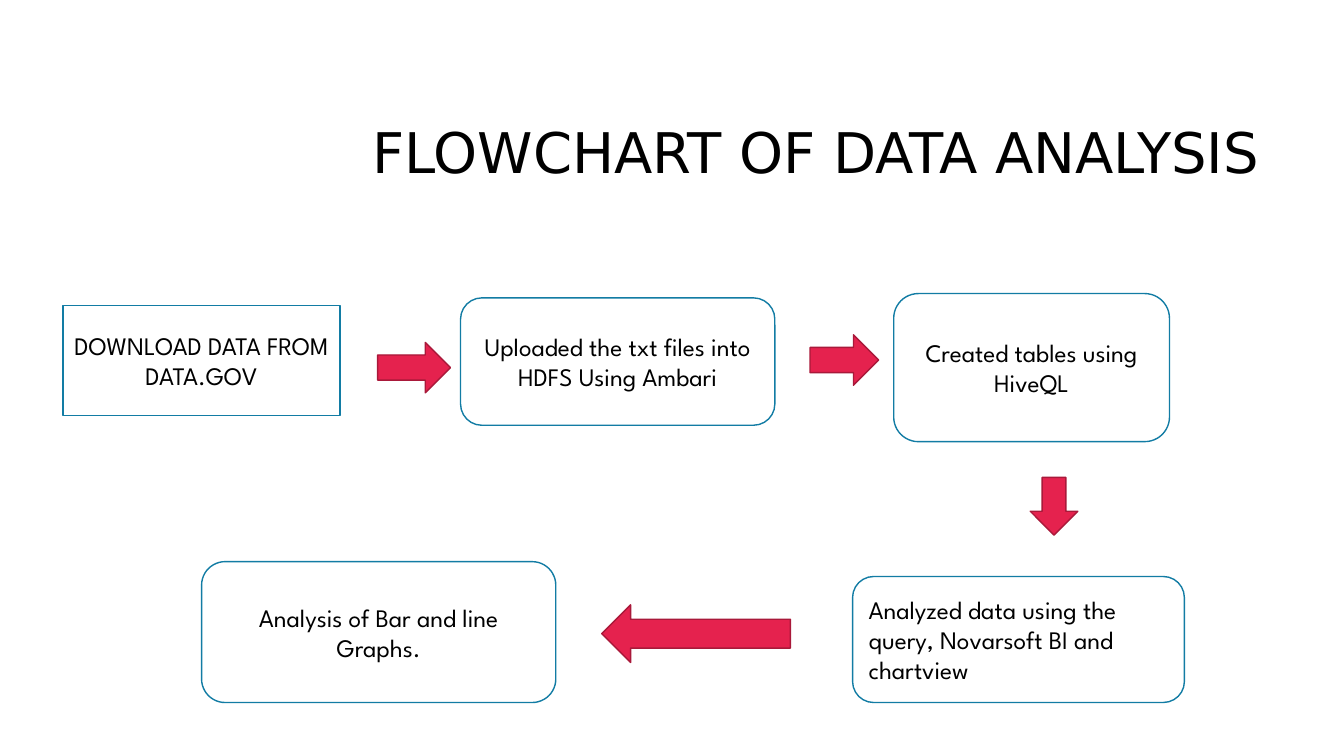
from dataclasses import dataclass

from pptx import Presentation
from pptx.dml.color import RGBColor
from pptx.enum.shapes import MSO_SHAPE
from pptx.enum.text import MSO_ANCHOR, PP_ALIGN
from pptx.shapes.autoshape import Shape
from pptx.slide import Slide
from pptx.util import Pt

BLACK = RGBColor(0x00, 0x00, 0x00)
WHITE = RGBColor(0xFF, 0xFF, 0xFF)
BLUE = RGBColor(0x12, 0x7C, 0xA4)
RED = RGBColor(0xE5, 0x22, 0x4E)
DARK_RED = RGBColor(0xA9, 0x19, 0x3A)

RECTANGLE = MSO_SHAPE.RECTANGLE
ROUNDED = MSO_SHAPE.ROUNDED_RECTANGLE
RIGHT_ARROW = MSO_SHAPE.RIGHT_ARROW
DOWN_ARROW = MSO_SHAPE.DOWN_ARROW
LEFT, CENTER, RIGHT = PP_ALIGN.LEFT, PP_ALIGN.CENTER, PP_ALIGN.RIGHT
MIDDLE = MSO_ANCHOR.MIDDLE

TITLE_FONT = "DejaVu Sans"
BODY_FONT = "League Spartan"


@dataclass(frozen=True)
class Area:
    """Place and size in points."""
    left: float
    top: float
    width: float
    height: float


@dataclass(frozen=True)
class Step:
    text: str
    area: Area
    kind: MSO_SHAPE = ROUNDED
    align: PP_ALIGN = CENTER


@dataclass(frozen=True)
class Arrow:
    area: Area
    kind: MSO_SHAPE = RIGHT_ARROW
    rotation: float = 0


STEPS = [
    Step("DOWNLOAD DATA FROM DATA.GOV", Area(44.9, 218.2, 198, 78.5), RECTANGLE),
    Step("Uploaded the txt files into HDFS Using Ambari", Area(329, 212.8, 224.5, 91)),
    Step("Created tables using HiveQL", Area(638.4, 209.7, 197, 105.8)),
    Step("Analyzed data using the query, Novarsoft BI and chartview",
         Area(609, 411.8, 237, 90), align=LEFT),
    Step("Analysis of Bar and line Graphs.", Area(144, 401.2, 253, 100.6)),
]

ARROWS = [
    Arrow(Area(269.8, 244.6, 52, 36)),
    Arrow(Area(578.6, 239.2, 49, 36)),
    Arrow(Area(735.9, 341, 34, 41.2), DOWN_ARROW),
    Arrow(Area(429.8, 432, 134.8, 41.2), rotation=180),
]


def write_text(shape: Shape, text: str, *, font: str, size: float,
               align: PP_ALIGN, line_spacing: float = 1.0) -> None:
    frame = shape.text_frame
    frame.word_wrap = True
    frame.vertical_anchor = MIDDLE
    para = frame.paragraphs[0]
    para.alignment = align
    para.line_spacing = line_spacing
    span = para.add_run()
    span.text = text
    span.font.name = font
    span.font.size = Pt(size)
    span.font.color.rgb = BLACK


def add_outlined(page: Slide, kind: MSO_SHAPE, area: Area,
                 fill: RGBColor, line: RGBColor) -> Shape:
    shape = page.shapes.add_shape(kind, Pt(area.left), Pt(area.top),
                                  Pt(area.width), Pt(area.height))
    shape.shadow.inherit = False
    shape.fill.solid()
    shape.fill.fore_color.rgb = fill
    shape.line.color.rgb = line
    shape.line.width = Pt(1)
    return shape


def add_step(page: Slide, step: Step) -> None:
    box = add_outlined(page, step.kind, step.area, WHITE, BLUE)
    write_text(box, step.text, font=BODY_FONT, size=18, align=step.align)


def add_arrow(page: Slide, arrow: Arrow) -> None:
    shape = add_outlined(page, arrow.kind, arrow.area, RED, DARK_RED)
    shape.rotation = arrow.rotation


def main() -> None:
    deck = Presentation()
    deck.slide_width, deck.slide_height = Pt(960), Pt(540)
    page = deck.slides.add_slide(deck.slide_layouts[6])

    title = page.shapes.add_textbox(Pt(228.2), Pt(60.5), Pt(678.2), Pt(101.5))
    write_text(title, "FLOWCHART OF DATA ANALYSIS", font=TITLE_FONT, size=40,
               align=RIGHT, line_spacing=0.9)
    for step in STEPS:
        add_step(page, step)
    for arrow in ARROWS:
        add_arrow(page, arrow)

    deck.save("out.pptx")


if __name__ == "__main__":
    main()
